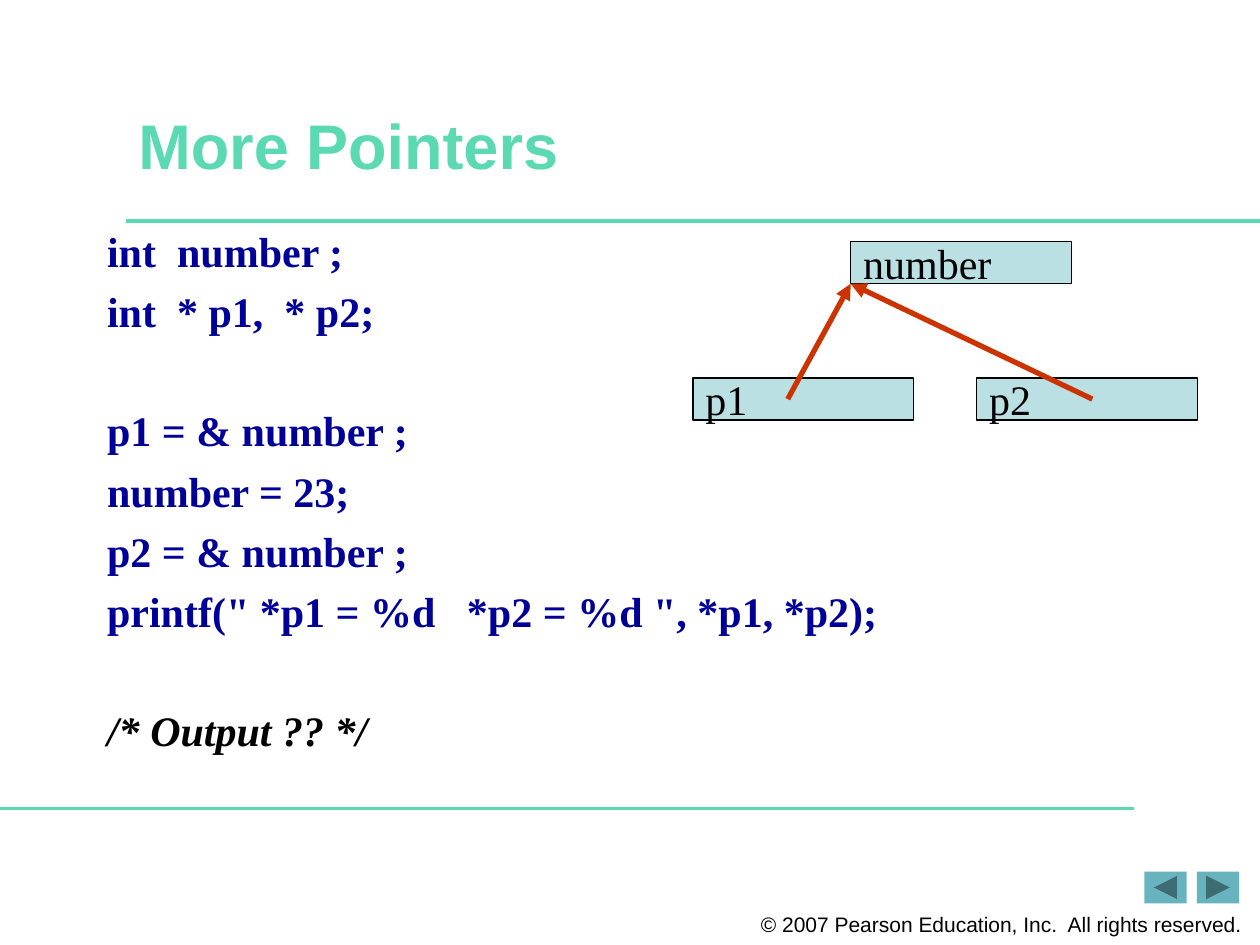
from pptx import Presentation
from pptx.dml.color import RGBColor
from pptx.enum.shapes import MSO_CONNECTOR, MSO_SHAPE
from pptx.enum.text import MSO_ANCHOR, PP_ALIGN
from pptx.oxml.ns import qn
from pptx.util import Cm, Pt
from lxml import etree

RECT = MSO_SHAPE.RECTANGLE
NEXT_BUTTON = MSO_SHAPE.ACTION_BUTTON_FORWARD_OR_NEXT
STRAIGHT = MSO_CONNECTOR.STRAIGHT
MIDDLE = MSO_ANCHOR.MIDDLE
LEFT, CENTER = PP_ALIGN.LEFT, PP_ALIGN.CENTER
SANS, SERIF = "Arial", "Times New Roman"
GREEN, NAVY, BLACK = "5AD9B3", "000099", "000000"
PALE, RED, TEAL = "BBE0E3", "CC3300", "67B4BF"

# Content: code in groups, with a gap between groups
TITLE = "More Pointers"
CODE_GROUPS = [
    ["int  number ;", "int  * p1,  * p2;"],
    ["p1 = & number ;", "number = 23;", "p2 = & number ;",
     'printf(" *p1 = %d   *p2 = %d ", *p1, *p2);'],
    ["/* Output ?? */"],
]
COPYRIGHT = "© 2007 Pearson Education, Inc.  All rights reserved."

# Lengths in cm
VARIABLES = {"number": (17.15, 4.87), "p1": (13.97, 7.62), "p2": (19.69, 7.62)}
VARIABLE_W, VARIABLE_H = 4.45, 0.85
POINTERS = [("p1", 1.91), ("p2", 2.33)]  # pointer, arrow start from its left edge
RULES = [(2.54, 25.4, 4.45), (0, 22.86, 16.3)]  # from x, to x, y
BUTTONS = [(24.13, 0), (23.07, 180)]  # left, rotation
LINE_GAP, GROUP_GAP = 8.6, 42  # points


def rgb(value):
    return RGBColor.from_string(value)


def set_frame(shape, wrap, top=0.13):
    frame = shape.text_frame
    frame.word_wrap = wrap
    frame.vertical_anchor = MIDDLE
    frame.margin_left = frame.margin_right = Cm(0.25)
    frame.margin_top, frame.margin_bottom = Cm(top), Cm(0.13)
    return frame


def add_text(paragraph, text, size, font, color, bold=False, italic=False, align=LEFT):
    paragraph.alignment = align
    run = paragraph.add_run()
    run.text = text
    run.font.size, run.font.name = Pt(size), font
    run.font.bold, run.font.italic = bold, italic
    run.font.color.rgb = rgb(color)


def add_box(kind, left, top, width, height, fill):
    box = slide.shapes.add_shape(kind, Cm(left), Cm(top), Cm(width), Cm(height))
    box.shadow.inherit = False
    box.fill.solid()
    box.fill.fore_color.rgb = rgb(fill)
    return box


def add_line(x1, y1, x2, y2, color, width, arrow=False):
    line = slide.shapes.add_connector(STRAIGHT, Cm(x1), Cm(y1), Cm(x2), Cm(y2))
    line.line.color.rgb = rgb(color)
    line.line.width = Pt(width)
    if arrow:
        etree.SubElement(line.line._get_or_add_ln(), qn("a:tailEnd"), type="triangle")
    etree.SubElement(line._element.spPr, qn("a:effectLst"))


prs = Presentation()
prs.slide_width, prs.slide_height = Cm(25.4), Cm(19.05)
slide = prs.slides.add_slide(prs.slide_layouts[5])

# Navigation buttons, rules and copyright
for left, rotation in BUTTONS:
    button = add_box(NEXT_BUTTON, left, 17.57, 0.85, 0.64, TEAL)
    button.line.fill.background()
    button.rotation = rotation
for start, end, y in RULES:
    add_line(start, y, end, y, GREEN, 2)
footer = slide.shapes.add_textbox(Cm(15.06), Cm(18.26), Cm(10.26), Cm(0.76))
add_text(set_frame(footer, False).paragraphs[0], COPYRIGHT, 12, SANS, BLACK, align=CENTER)

# Title
title = slide.shapes.title
title.left, title.top, title.width, title.height = Cm(2.54), Cm(1.91), Cm(21.59), Cm(2.12)
add_text(set_frame(title, True, top=0).paragraphs[0], TITLE, 36, SANS, GREEN, bold=True)

# Code
code = slide.shapes.add_textbox(Cm(1.91), Cm(3.81), Cm(21.59), Cm(12.28))
code_frame = set_frame(code, True)
paragraph = code_frame.paragraphs[0]
for group in CODE_GROUPS:
    for statement in group:
        if paragraph.runs:
            paragraph = code_frame.add_paragraph()
        comment = statement.startswith("/*")
        add_text(paragraph, statement, 24, SERIF, BLACK if comment else NAVY,
                 bold=True, italic=comment)
        paragraph.line_spacing = 0.9
        paragraph.space_after = Pt(LINE_GAP)
    if group is not CODE_GROUPS[-1]:
        paragraph.space_after = Pt(GROUP_GAP)

# Variables in memory
for name, (left, top) in VARIABLES.items():
    variable = add_box(RECT, left, top, VARIABLE_W, VARIABLE_H, PALE)
    variable.line.color.rgb = rgb(BLACK)
    variable.line.width = Pt(0.75)
    add_text(set_frame(variable, False).paragraphs[0], name, 24, SERIF, BLACK)

# Both pointers lead to the lower left corner of number
target_x, target_y = VARIABLES["number"]
for name, offset in POINTERS:
    left, top = VARIABLES[name]
    add_line(left + offset, top + VARIABLE_H / 2, target_x, target_y + VARIABLE_H,
             RED, 3, arrow=True)

prs.save("out.pptx")
